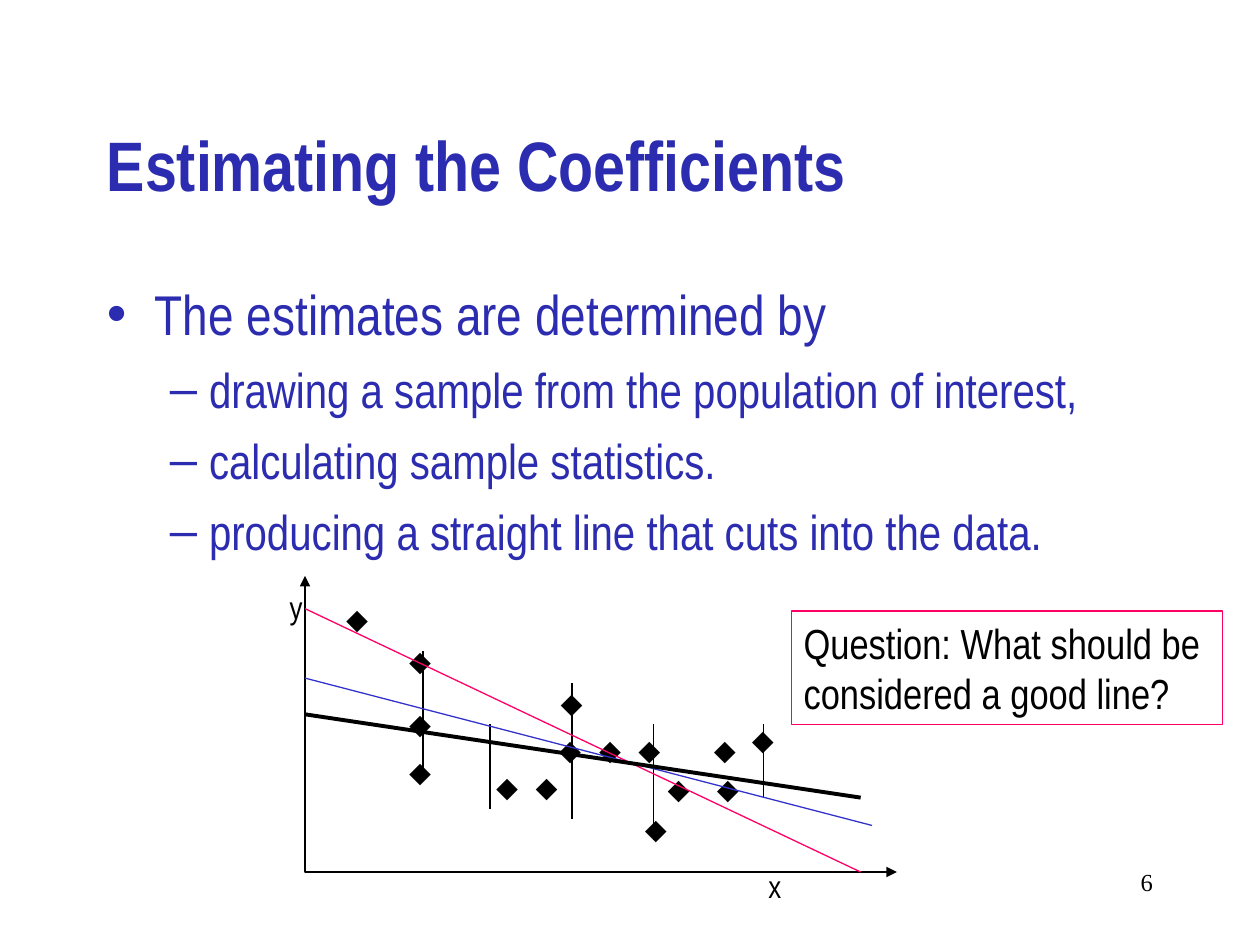
from lxml.etree import SubElement
from pptx import Presentation
from pptx.dml.color import RGBColor
from pptx.enum.shapes import MSO_CONNECTOR, MSO_SHAPE
from pptx.enum.text import MSO_ANCHOR, MSO_AUTO_SIZE, PP_ALIGN
from pptx.oxml.ns import qn
from pptx.util import Cm, Pt

COLORS = {"heading": "2C2CB0", "ink": "000000", "paper": "FFFFFF",
          "blue": "3333CC", "pink": "FF0066"}
NARROW = "Arial Narrow"


def rgb(name):
    return RGBColor.from_string(COLORS[name])


class SlideBuilder:
    """Holds the style and the current slide."""

    def __init__(self, slide, font=NARROW):
        self.slide = slide
        self.font = font

    def style(self, paragraph, size, color="ink", font=None, bold=False):
        paragraph.font.name = font or self.font
        paragraph.font.size = Pt(size)
        paragraph.font.bold = bold
        paragraph.font.color.rgb = rgb(color)

    def place(self, shape, left, top, width, height):
        shape.left, shape.top = Cm(left), Cm(top)
        shape.width, shape.height = Cm(width), Cm(height)

    def title(self, text, box):
        title = self.slide.shapes.title
        self.place(title, *box)
        frame = title.text_frame
        frame.text = text
        frame.auto_size = MSO_AUTO_SIZE.NONE
        frame.vertical_anchor = MSO_ANCHOR.MIDDLE
        frame.paragraphs[0].alignment = PP_ALIGN.LEFT
        self.style(frame.paragraphs[0], 40, "heading", bold=True)

    def bullets(self, items, box):
        # level: (indent, hanging, bullet, size, space before)
        levels = [(0.97, 0.97, "•", 32, 8), (2.06, 0.79, "–", 28, 7)]
        body = self.slide.placeholders[1]
        self.place(body, *box)
        frame = body.text_frame
        frame.auto_size = MSO_AUTO_SIZE.NONE
        frame.text = "\n".join(text for _, text in items)
        for index, (paragraph, (level, _)) in enumerate(zip(frame.paragraphs, items)):
            indent, hanging, bullet, size, before = levels[level]
            paragraph.level = level
            paragraph.space_before = Pt(before if index else 0)
            properties = paragraph._p.get_or_add_pPr()
            properties.set("marL", str(Cm(indent)))
            properties.set("indent", str(-Cm(hanging)))
            SubElement(properties, qn("a:buChar")).set("char", bullet)
            self.style(paragraph, size, "heading")

    def label(self, text, box, size=18, font=None, align=PP_ALIGN.LEFT, wrap=False):
        frame = self.slide.shapes.add_textbox(*map(Cm, box)).text_frame
        frame.word_wrap = wrap
        frame.text = text
        frame.paragraphs[0].alignment = align
        self.style(frame.paragraphs[0], size, font=font)

    def callout(self, text, box, size=24):
        callout = self.slide.shapes.add_shape(MSO_SHAPE.RECTANGLE, *map(Cm, box))
        callout.shadow.inherit = False
        callout.fill.solid()
        callout.fill.fore_color.rgb = rgb("paper")
        callout.line.color.rgb = rgb("pink")
        callout.line.width = Pt(0.75)
        frame = callout.text_frame
        frame.word_wrap = True
        frame.vertical_anchor = MSO_ANCHOR.TOP
        frame.text = text
        frame.paragraphs[0].alignment = PP_ALIGN.LEFT
        self.style(frame.paragraphs[0], size)

    def line(self, start, end, color="ink", width=0.75):
        line = self.slide.shapes.add_connector(
            MSO_CONNECTOR.STRAIGHT, *map(Cm, (*start, *end)))
        line.line.color.rgb = rgb(color)
        line.line.width = Pt(width)
        SubElement(line._element.spPr, qn("a:effectLst"))

    def axes(self, *points):
        corners = [(Cm(x), Cm(y)) for x, y in points]
        outline = self.slide.shapes.build_freeform(*corners[0], scale=1.0)
        outline.add_line_segments(corners[1:], close=False)
        axes = outline.convert_to_shape()
        axes.shadow.inherit = False
        axes.fill.background()
        axes.line.color.rgb = rgb("ink")
        axes.line.width = Pt(0.75)
        for arrow in ("a:headEnd", "a:tailEnd"):
            SubElement(axes.line._get_or_add_ln(), qn(arrow)).set("type", "triangle")


def main():
    presentation = Presentation()
    presentation.slide_width, presentation.slide_height = Cm(25.4), Cm(19.05)
    builder = SlideBuilder(
        presentation.slides.add_slide(presentation.slide_layouts[1]))

    # Title, list and slide number
    builder.title("Estimating the Coefficients", (1.9, 1.7, 21.59, 3.18))
    builder.bullets([
        (0, "The estimates are determined by"),
        (1, "drawing a sample from the population of interest,"),
        (1, "calculating sample statistics."),
        (1, "producing a straight line that cuts into the data."),
    ], (1.9, 5.51, 21.59, 5.92))
    builder.label("6", (18.21, 17.35, 5.28, 1.27), 14, "Times New Roman",
                  PP_ALIGN.RIGHT, wrap=True)

    # Axes
    axis_x, axis_y = 6.15, 17.58
    builder.axes((axis_x, 11.61), (axis_x, axis_y), (18.08, axis_y))

    # Sample points: top of each row and its left edges
    sample_rows = [
        (11.96, [6.73]), (12.8, [8]), (14.07, [8]), (15.04, [8]),
        (14.6, [11.02, 11.83, 12.62, 14.14]), (13.64, [11.05]),
        (15.37, [13.21, 14.2]), (14.4, [14.91]), (15.34, [9.75, 10.55]),
        (16.18, [12.75]),
    ]
    for top, lefts in sample_rows:
        for left in lefts:
            builder.label("⬥", (left, top, 0.89, 1.02), font="Arial")

    # Vertical deviations: x, top, bottom
    for x, top, bottom in [(8.53, 13.13, 15.67), (9.88, 14.6, 16.31),
                           (11.53, 13.77, 16.51), (13.18, 14.6, 16.94),
                           (15.39, 14.6, 16.08)]:
        builder.line((x, top), (x, bottom))

    # Candidate lines through the data
    builder.line((axis_x, 13.67), (17.58, 16.64), "blue")
    builder.line((axis_x, 12.27), (17.35, axis_y), "pink")
    builder.line((axis_x, 14.4), (17.35, 16.08), width=2.25)

    # Question and axis names
    builder.callout("Question: What should be\vconsidered a good line?",
                    (15.95, 12.32, 8.69, 2.29))
    builder.label("x", (15.24, 17.35, 0.76, 1.02))
    builder.label("y", (5.59, 11.73, 0.76, 1.02))

    presentation.save("out.pptx")


if __name__ == "__main__":
    main()
